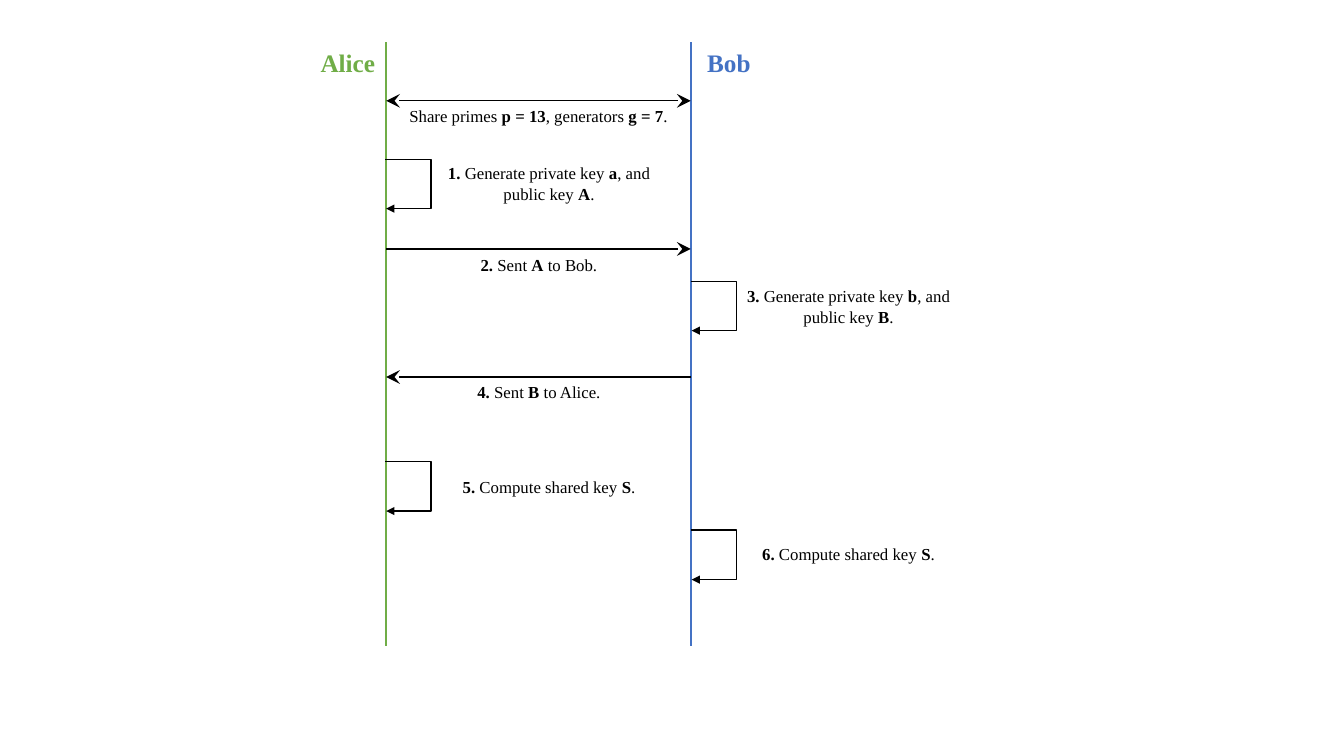
from dataclasses import dataclass

from lxml.etree import SubElement as Sub
from pptx import Presentation
from pptx.dml.color import RGBColor
from pptx.enum.shapes import MSO_CONNECTOR as Link
from pptx.enum.text import MSO_AUTO_SIZE as Fit, PP_ALIGN as Align
from pptx.oxml.ns import qn
from pptx.shapes.connector import Connector
from pptx.slide import Slide
from pptx.util import Pt

PX = 9144
GREEN = RGBColor(0x70, 0xAD, 0x47)
BLUE = RGBColor(0x44, 0x72, 0xC4)
BLACK = RGBColor(0, 0, 0)
FONT = "Times New Roman"
TOP, BASE = 42, 641
LEFT, RIGHT = 383, 685
REACH, DROP = 46, 49


@dataclass(frozen=True)
class Actor:
    name: str
    line: int
    left: int
    color: RGBColor


@dataclass(frozen=True)
class Label:
    left: int
    top: int
    width: int
    height: int
    runs: tuple[str, ...]
    bold: bool = True
    size: int = 12
    color: RGBColor = BLACK


@dataclass(frozen=True)
class Message:
    top: int
    ends: tuple[str, ...]
    label: Label


@dataclass(frozen=True)
class Loop:
    left: int
    top: int
    label: Label


ACTORS = (
    Actor("Alice", LEFT, 307, GREEN),
    Actor("Bob", RIGHT, RIGHT, BLUE),
)

STEPS = (
    Message(100, ("headEnd", "tailEnd"), Label(
        LEFT, 100, 302, 30,
        ("Share primes ", "p = 13", ", generators", " g = 7", "."), bold=False)),
    Loop(382, 158, Label(
        432, 157, 225, 50,
        ("1. ", "Generate private key ", "a", ", and public key ", "A", "."))),
    Message(247, ("tailEnd",), Label(
        422, 248, 225, 30, ("2.", " Sent ", "A", " to Bob."))),
    Loop(685, 279, Label(
        729, 279, 225, 50,
        ("3. ", "Generate private key ", "b", ", and public key ", "B", "."))),
    Message(374, ("headEnd",), Label(
        422, 374, 225, 30, ("4.", " Sent ", "B", " to Alice."))),
    Loop(382, 458, Label(
        432, 468, 225, 30, ("5. ", "Compute shared key ", "S", "."))),
    Loop(685, 526, Label(
        729, 535, 225, 30, ("6. ", "Compute shared key ", "S", "."))),
)


def add_line(slide: Slide, kind: Link, start: tuple[int, int],
             stop: tuple[int, int], color: RGBColor, width: float) -> Connector:
    x, y = start
    line = slide.shapes.add_connector(
        kind, x * PX, y * PX, stop[0] * PX, stop[1] * PX)
    line.line.color.rgb = color
    line.line.width = Pt(width)
    Sub(line._element.spPr, qn("a:effectLst"))
    return line


def add_head(line: Connector, end: str, kind: str, size: str) -> None:
    Sub(line.line._get_or_add_ln(), qn(f"a:{end}"), type=kind, w=size, len=size)


def add_label(slide: Slide, label: Label) -> None:
    box = slide.shapes.add_textbox(
        label.left * PX, label.top * PX, label.width * PX, label.height * PX)
    frame = box.text_frame
    frame.word_wrap = True
    frame.auto_size = Fit.SHAPE_TO_FIT_TEXT
    para = frame.paragraphs[0]
    para.alignment = Align.CENTER
    bold = label.bold
    for text in label.runs:
        run = para.add_run()
        run.text = text
        run.font.name = FONT
        run.font.size = Pt(label.size)
        run.font.bold = bold
        run.font.color.rgb = label.color
        bold = not bold


def add_actor(slide: Slide, actor: Actor) -> None:
    add_line(slide, Link.STRAIGHT, (actor.line, TOP), (actor.line, BASE),
             actor.color, 1.5)
    add_label(slide, Label(actor.left, TOP, 76, 40, (actor.name,),
                           size=18, color=actor.color))


def add_step(slide: Slide, step: Message | Loop) -> None:
    if isinstance(step, Message):
        line = add_line(slide, Link.STRAIGHT, (LEFT, step.top),
                        (RIGHT, step.top), BLACK, 1)
        for end in step.ends:
            add_head(line, end, "stealth", "lg")
    else:
        line = add_line(slide, Link.ELBOW, (step.left, step.top),
                        (step.left + 1, step.top + DROP), BLACK, 1)
        shape = line._element.spPr.find(qn("a:prstGeom"))
        guides = shape.find(qn("a:avLst"))
        if guides is None:
            guides = Sub(shape, qn("a:avLst"))
        Sub(guides, qn("a:gd"), name="adj1", fmla=f"val {REACH * 100000}")
        add_head(line, "tailEnd", "triangle", "med")
    add_label(slide, step.label)


def main() -> None:
    deck = Presentation()
    deck.slide_width = 1333 * PX
    deck.slide_height = 750 * PX
    slide = deck.slides.add_slide(deck.slide_layouts[6])
    for actor in ACTORS:
        add_actor(slide, actor)
    for step in STEPS:
        add_step(slide, step)
    deck.save("out.pptx")


if __name__ == "__main__":
    main()
